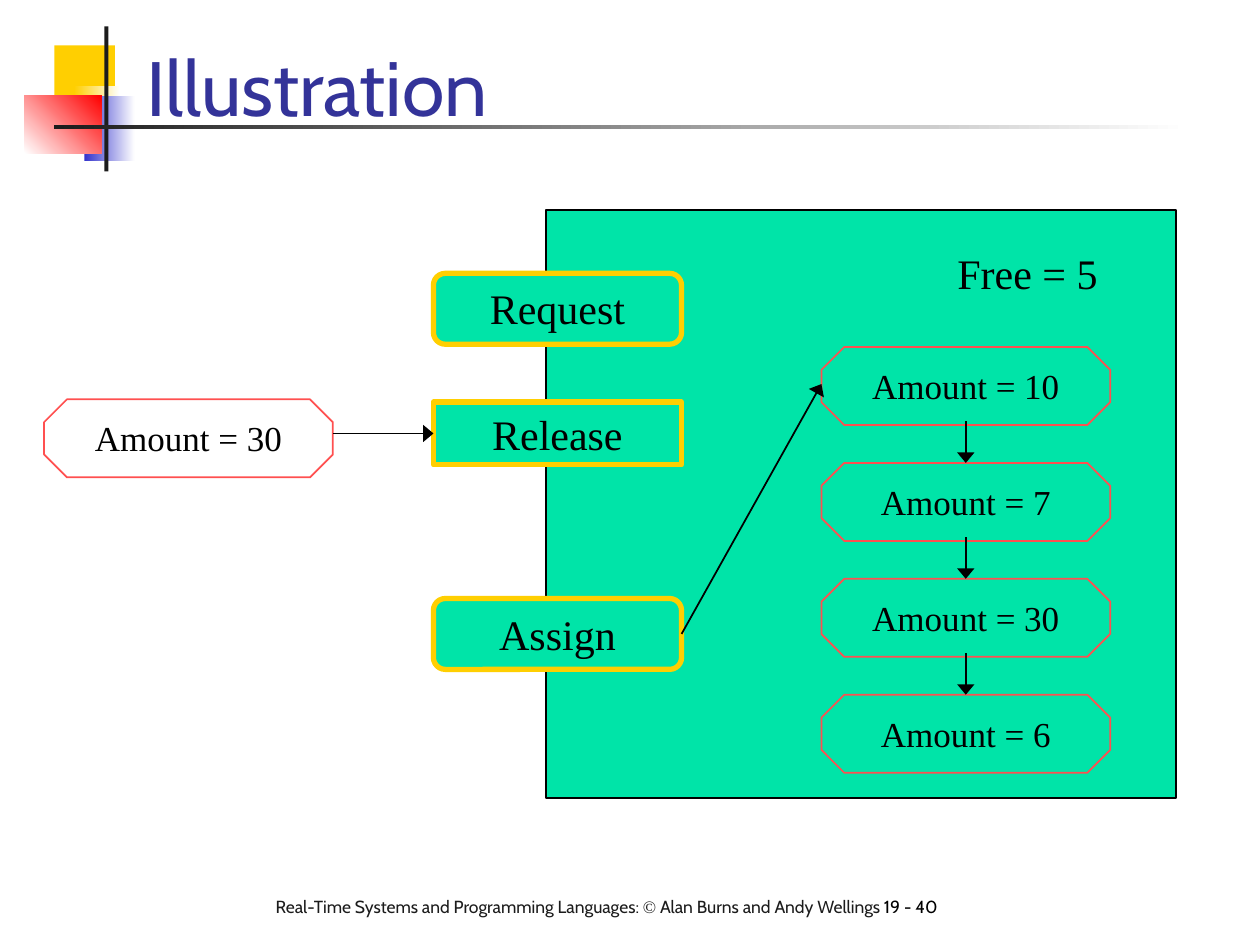
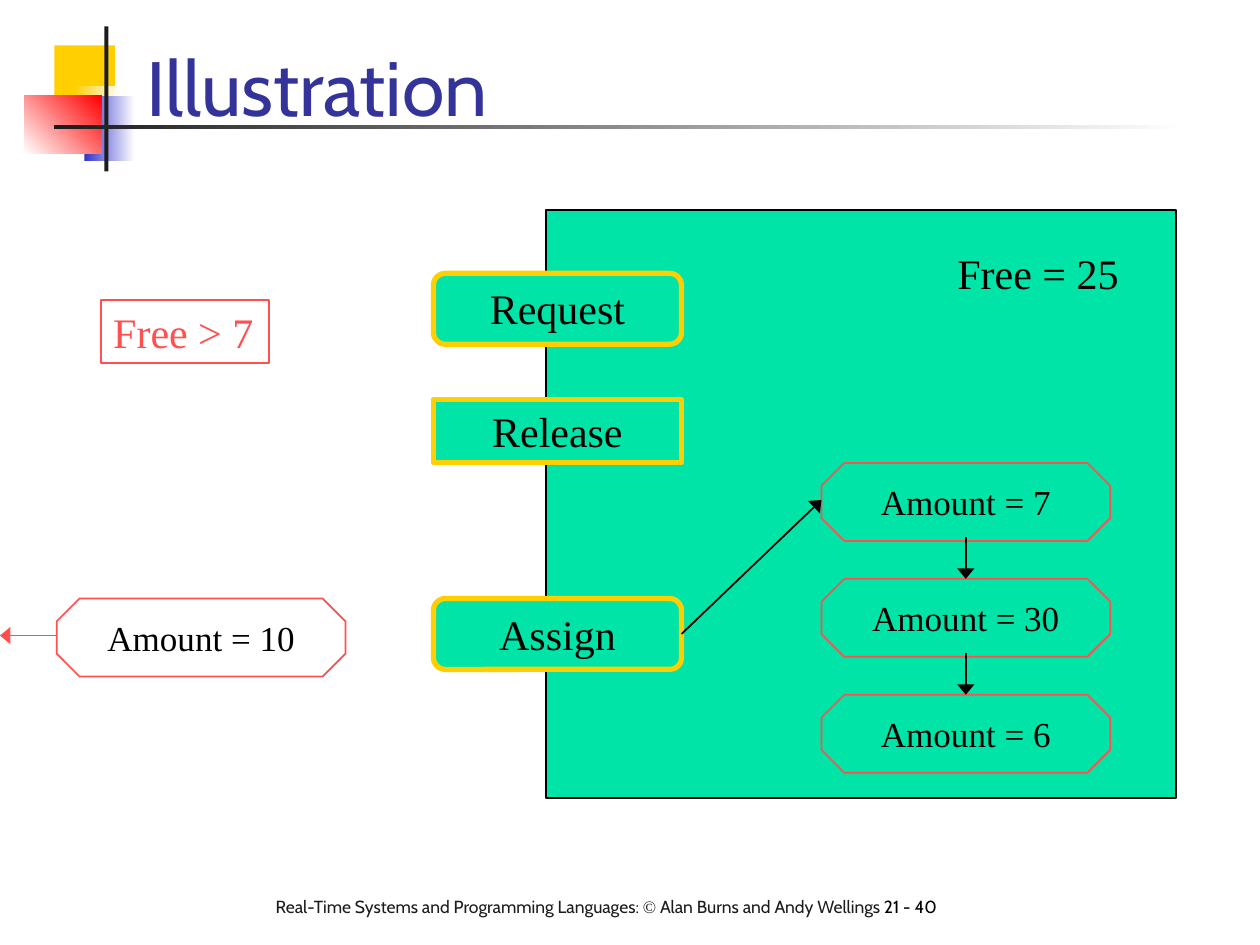
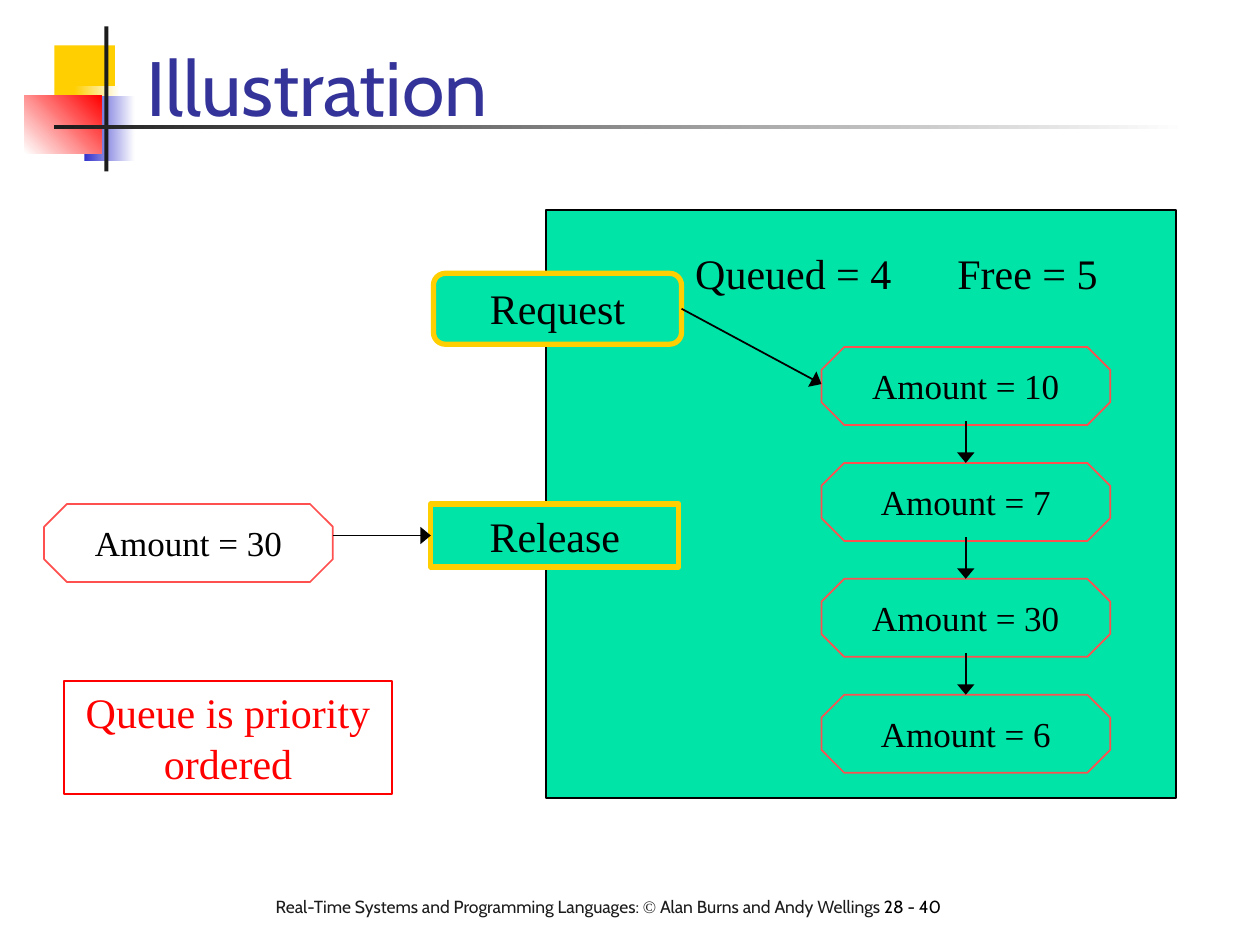
from dataclasses import dataclass
from itertools import count
from typing import Optional

from lxml import etree
from pptx import Presentation
from pptx.dml.color import RGBColor
from pptx.enum.shapes import MSO_CONNECTOR, MSO_SHAPE
from pptx.enum.text import MSO_ANCHOR, MSO_AUTO_SIZE, PP_ALIGN
from pptx.oxml.ns import qn
from pptx.util import Pt

RECTANGLE = MSO_SHAPE.RECTANGLE
ROUNDED = MSO_SHAPE.ROUNDED_RECTANGLE
OCTAGON = MSO_SHAPE.OCTAGON
STRAIGHT = MSO_CONNECTOR.STRAIGHT
LEFT, CENTER = PP_ALIGN.LEFT, PP_ALIGN.CENTER
TOP, BOTTOM = MSO_ANCHOR.TOP, MSO_ANCHOR.BOTTOM
NO_AUTOSIZE, FIT_SHAPE = MSO_AUTO_SIZE.NONE, MSO_AUTO_SIZE.SHAPE_TO_FIT_TEXT
LEFT_SIDE, RIGHT_SIDE = 1, 3
TITLE_ONLY = 5


@dataclass(frozen=True)
class Theme:
    heading_font: str = "Cabin"
    diagram_font: str = "Times New Roman"
    title_size: float = 44
    label_size: float = 24
    amount_size: float = 20
    footer_size: float = 10
    thin: float = 1
    thick: float = 3
    black: str = "000000"
    white: str = "FFFFFF"
    ink: str = "1C1C1C"
    title: str = "333399"
    panel: str = "00E4A8"
    yellow: str = "FFCF01"
    blue: str = "3333CC"
    red: str = "FF0000"
    coral: str = "FF5050"


THEME = Theme()


@dataclass(frozen=True)
class Box:
    left: float
    top: float
    width: float
    height: float

    @property
    def middle(self) -> float:
        return self.top + self.height / 2

    def lengths(self) -> tuple:
        return Pt(self.left), Pt(self.top), Pt(self.width), Pt(self.height)


@dataclass(frozen=True)
class Decoration:
    box: Box
    color: str
    end_color: Optional[str] = None
    angle: float = 0


@dataclass(frozen=True)
class Label:
    text: str
    left: float
    width: float


@dataclass(frozen=True)
class Note:
    text: str
    box: Box
    color: str
    wrap: bool


@dataclass(frozen=True)
class Caller:
    amount: int
    left: float
    top: float
    leaving: bool


@dataclass(frozen=True)
class Scene:
    number: str
    release_left: float
    release_top: float
    has_assign: bool
    queue_source: str
    queue: tuple
    labels: tuple
    caller: Caller
    note: Optional[Note] = None


TITLE_BOX = Box(76.3, 9, 613.4, 69.8)
FOOTER_BOX = Box(150.5, 508.3, 436.3, 33)
PANEL_BOX = Box(312, 120, 360, 336)
OPERATION_LEFT, OPERATION_WIDTH = 247.7, 141.8
ROUNDED_HEIGHT, RELEASE_HEIGHT = 40.5, 36
REQUEST_TOP, ASSIGN_TOP = 156.2, 342
LABEL_TOP, LABEL_HEIGHT = 138.2, 36
AMOUNT_WIDTH, AMOUNT_HEIGHT = 165, 44.6
QUEUE_LEFT, QUEUE_LAST_TOP, QUEUE_PITCH = 469.4, 397, 66.24
QUEUE_ARROW_LENGTH = 23.8
ENTRY_OFFSET = 21.2

DECORATIONS = (
    Decoration(Box(31, 26, 34.6, 37.4), THEME.yellow),
    Decoration(Box(42.5, 49, 26, 37.4), THEME.yellow, THEME.white),
    Decoration(Box(48.2, 54.7, 28.8, 37.4), THEME.blue, THEME.white),
    Decoration(Box(14, 54.5, 44, 33.1), THEME.white, THEME.red, 45),
    Decoration(Box(59.7, 15.1, 2.3, 82.8), THEME.ink),
    Decoration(Box(31, 71.3, 648, 2.7), THEME.ink, THEME.white),
)

FREE_FIVE = Label("Free = 5", 540, 98)

SCENES = (
    Scene("19 - 40", OPERATION_LEFT, 229.7, True, "Assign", (10, 7, 30, 6),
          (FREE_FIVE,), Caller(30, 25.2, 228.2, False)),
    Scene("21 - 40", OPERATION_LEFT, 228.2, True, "Assign", (7, 30, 6),
          (Label("Free = 25", 540, 110),), Caller(10, 32.4, 342, True),
          Note("Free > 7", Box(57.6, 171.4, 96, 36), THEME.coral, False)),
    Scene("28 - 40", 246.2, 288, False, "Request", (10, 7, 30, 6),
          (FREE_FIVE, Label("Queued = 4", 390.2, 136)),
          Caller(30, 25.2, 288, False),
          Note("Queue is priority ordered", Box(36.7, 389, 187.2, 64.8),
               THEME.red, True)),
)


def rgb(color: str) -> RGBColor:
    return RGBColor.from_string(color)


def add_run(paragraph, text: str, font: str, size: float, color: str) -> None:
    run = paragraph.add_run()
    run.text = text
    run.font.name = font
    run.font.size = Pt(size)
    run.font.color.rgb = rgb(color)


def write(shape, text: str, size: float, color: str = THEME.black,
          alignment=CENTER, wrap: bool = True) -> None:
    frame = shape.text_frame
    frame.word_wrap = wrap
    frame.auto_size = FIT_SHAPE
    frame.vertical_anchor = TOP
    paragraph = frame.paragraphs[0]
    paragraph.alignment = alignment
    add_run(paragraph, text, THEME.diagram_font, size, color)


def add_box(slide, kind, box: Box, fill: Optional[str] = None,
            line: Optional[str] = None, width: float = THEME.thin):
    shape = slide.shapes.add_shape(kind, *box.lengths())
    shape.shadow.inherit = False
    if fill:
        shape.fill.solid()
        shape.fill.fore_color.rgb = rgb(fill)
    else:
        shape.fill.background()
    if line:
        shape.line.color.rgb = rgb(line)
        shape.line.width = Pt(width)
    else:
        shape.line.fill.background()
    return shape


def add_arrow(slide, start: tuple, end: tuple, color: str = THEME.black):
    arrow = slide.shapes.add_connector(
        STRAIGHT, *(Pt(value) for value in (*start, *end)))
    arrow.line.color.rgb = rgb(color)
    arrow.line.width = Pt(THEME.thin)
    properties = arrow.element.spPr
    tail = etree.SubElement(properties.find(qn("a:ln")), qn("a:tailEnd"))
    tail.set("type", "triangle")
    tail.set("w", "lg")
    etree.SubElement(properties, qn("a:effectLst"))
    return arrow


def decorate_layout(layout, slide) -> None:
    tree = layout.shapes.element
    for identifier, decoration in zip(count(101), DECORATIONS):
        shape = add_box(slide, RECTANGLE, decoration.box, decoration.color)
        if decoration.end_color:
            shape.fill.gradient()
            shape.fill.gradient_angle = decoration.angle
            colors = (decoration.color, decoration.end_color)
            for stop, color in zip(shape.fill.gradient_stops, colors):
                stop.color.rgb = rgb(color)
        shape.element.nvSpPr.cNvPr.set("id", str(identifier))
        tree.append(shape.element)


def add_title(slide) -> None:
    title = slide.shapes.title
    title.left, title.top, title.width, title.height = TITLE_BOX.lengths()
    frame = title.text_frame
    frame.auto_size = NO_AUTOSIZE
    frame.vertical_anchor = BOTTOM
    paragraph = frame.paragraphs[0]
    paragraph.alignment = LEFT
    add_run(paragraph, "Illustration", THEME.heading_font, THEME.title_size, THEME.title)


def add_footer(slide, number: str) -> None:
    frame = slide.shapes.add_textbox(*FOOTER_BOX.lengths()).text_frame
    frame.word_wrap = True
    paragraph = frame.paragraphs[0]
    for text, font, color in (
        ("Real-Time Systems and Programming Languages: ", THEME.heading_font, THEME.ink),
        ("©", THEME.diagram_font, THEME.ink),
        (" Alan Burns and Andy Wellings ", THEME.heading_font, THEME.ink),
        (number, THEME.heading_font, THEME.black),
    ):
        add_run(paragraph, text, font, THEME.footer_size, color)


def add_operation(slide, name: str, kind, box: Box):
    shape = add_box(slide, kind, box, THEME.panel, THEME.yellow, THEME.thick)
    write(shape, name, THEME.label_size)
    return shape


def add_amount(slide, amount: int, left: float, top: float) -> None:
    box = Box(left, top, AMOUNT_WIDTH, AMOUNT_HEIGHT)
    shape = add_box(slide, OCTAGON, box, line=THEME.coral)
    write(shape, f"Amount = {amount}", THEME.amount_size)


def add_queue(slide, amounts: tuple, source, source_box: Box) -> None:
    first_top = QUEUE_LAST_TOP - QUEUE_PITCH * (len(amounts) - 1)
    tops = [first_top + QUEUE_PITCH * place for place in range(len(amounts))]
    for amount, top in zip(amounts, tops):
        add_amount(slide, amount, QUEUE_LEFT, top)
    center = QUEUE_LEFT + AMOUNT_WIDTH / 2
    for top in tops[1:]:
        add_arrow(slide, (center, top - QUEUE_ARROW_LENGTH), (center, top))
    start = (source_box.left + source_box.width, source_box.middle)
    arrow = add_arrow(slide, start, (QUEUE_LEFT, first_top + ENTRY_OFFSET))
    arrow.begin_connect(source, RIGHT_SIDE)


def add_caller(slide, caller: Caller, release, release_box: Box) -> None:
    add_amount(slide, caller.amount, caller.left, caller.top)
    if caller.leaving:
        height = caller.top + ENTRY_OFFSET
        add_arrow(slide, (caller.left, height), (0, height), THEME.coral)
    else:
        height = release_box.middle
        arrow = add_arrow(slide, (caller.left + AMOUNT_WIDTH, height),
                          (release_box.left, height))
        arrow.end_connect(release, LEFT_SIDE)


def add_scene(slide, scene: Scene) -> None:
    add_title(slide)
    add_footer(slide, scene.number)
    add_box(slide, RECTANGLE, PANEL_BOX, THEME.panel, THEME.black)

    boxes = {
        "Request": Box(OPERATION_LEFT, REQUEST_TOP, OPERATION_WIDTH, ROUNDED_HEIGHT),
        "Release": Box(scene.release_left, scene.release_top,
                       OPERATION_WIDTH, RELEASE_HEIGHT),
    }
    if scene.has_assign:
        boxes["Assign"] = Box(OPERATION_LEFT, ASSIGN_TOP, OPERATION_WIDTH, ROUNDED_HEIGHT)
    operations = {
        name: add_operation(slide, name, RECTANGLE if name == "Release" else ROUNDED, box)
        for name, box in boxes.items()
    }

    for label in scene.labels:
        box = Box(label.left, LABEL_TOP, label.width, LABEL_HEIGHT)
        shape = slide.shapes.add_textbox(*box.lengths())
        write(shape, label.text, THEME.label_size, alignment=LEFT)

    add_queue(slide, scene.queue, operations[scene.queue_source], boxes[scene.queue_source])
    add_caller(slide, scene.caller, operations["Release"], boxes["Release"])

    note = scene.note
    if note:
        shape = add_box(slide, RECTANGLE, note.box, line=note.color)
        write(shape, note.text, THEME.label_size, note.color,
              CENTER if note.wrap else LEFT, note.wrap)


def main() -> None:
    presentation = Presentation()
    presentation.slide_width = Pt(720)
    presentation.slide_height = Pt(540)
    layout = presentation.slide_layouts[TITLE_ONLY]
    slides = [presentation.slides.add_slide(layout) for _ in SCENES]
    decorate_layout(layout, slides[0])
    for slide, scene in zip(slides, SCENES):
        add_scene(slide, scene)
    presentation.save("out.pptx")


if __name__ == "__main__":
    main()
